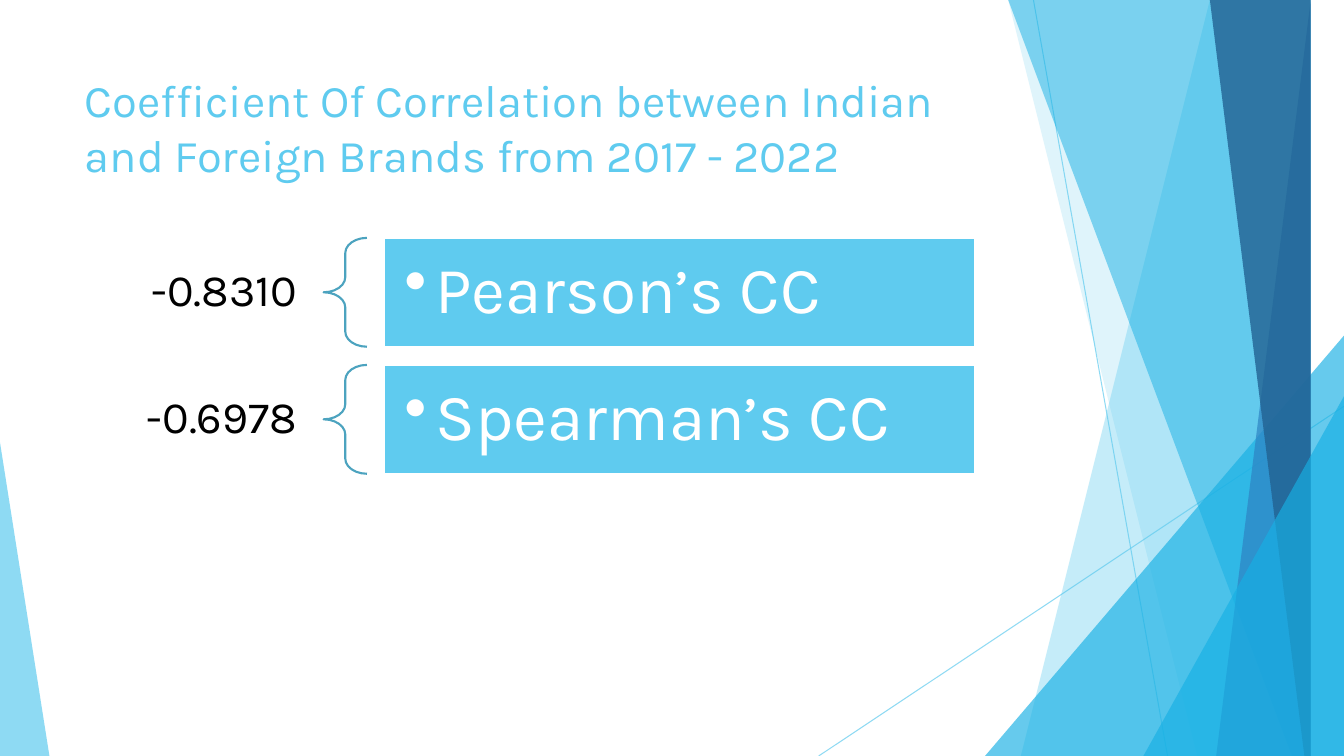
from pptx import Presentation
from pptx import util as u
from pptx.dml.color import RGBColor
from pptx.enum import shapes, text
from pptx.oxml.ns import qn
from lxml import etree

# Content
TITLE = "Coefficient Of Correlation between Indian and Foreign Brands from 2017 - 2022"
COEFFICIENTS = [("-0.8310", "Pearson’s CC"), ("-0.6978", "Spearman’s CC")]

# Style
FONT = "Karla"
SKY, BLUE, BRACE, WHITE, BLACK = "5FCBEF", "17B0E4", "4CA3BF", "FFFFFF", "000000"
WIDTH, HEIGHT = 13.33, 7.5

# Background: lines as (start, end); bands as (top x, bottom x, color, opacity),
# on the right edge; triangles as (left, top, width, apex, color, opacity), on the bottom
LINES = [((10.25, 0), (11.58, HEIGHT)), ((WIDTH, 4.03), (8.12, HEIGHT))]
FACETS = [
    ("band", 12.28, 10.04, SKY, 36),
    ("band", 10.5, 11.83, SKY, 20),
    ("triangle", 9.77, 3.33, 3.56, 1, BLUE, 66),
    ("band", 10.21, 12.91, BLUE, 50),
    ("band", 13.03, 11.92, "2E83C3", 70),
    ("band", 11.96, 13.18, "226292", 80),
    ("triangle", 11.34, 3.93, 1.99, 1, BLUE, 66),
    ("triangle", 0, 4.39, 0.49, 0, SKY, 70),
]

# Coefficient rows
ROW_TOP, ROW_STEP, ROW_HEIGHT = 2.36, 1.26, 1.08
VALUE_LEFT, VALUE_WIDTH = 1.05, 2.15
BRACE_LEFT, BRACE_WIDTH = 3.21, 0.43
BAR_LEFT, BAR_WIDTH = 3.81, 5.86


def color(hex_code):
    return RGBColor.from_string(hex_code)


def box(left, top, width, height):
    return [u.Inches(length) for length in (left, top, width, height)]


def set_opacity(fill_parent, percent):
    for color_node in fill_parent.iter(qn("a:srgbClr")):
        etree.SubElement(color_node, qn("a:alpha"), val=str(percent * 1000))


def paint(shape, hex_code, opacity):
    shape.shadow.inherit = False
    shape.fill.solid()
    shape.fill.fore_color.rgb = color(hex_code)
    shape.line.fill.background()
    set_opacity(shape._element.spPr, opacity)


def outline(shape, hex_code):
    shape.shadow.inherit = False
    shape.line.color.rgb = color(hex_code)
    shape.line.width = u.Pt(1.5)


def write(shape, words, size, hex_code, align, inset_x, inset_y,
          anchor=text.MSO_ANCHOR.MIDDLE):
    frame = shape.text_frame
    frame.word_wrap = True
    frame.auto_size = text.MSO_AUTO_SIZE.NONE
    frame.vertical_anchor = anchor
    frame.margin_left = frame.margin_right = u.Inches(inset_x)
    frame.margin_top = frame.margin_bottom = u.Inches(inset_y)
    frame.text = words
    paragraph = frame.paragraphs[0]
    paragraph.alignment = align
    paragraph.font.name = FONT
    paragraph.font.size = u.Pt(size)
    paragraph.font.color.rgb = color(hex_code)
    return paragraph


def add_bullet(paragraph, indent):
    properties = paragraph._p.get_or_add_pPr()
    properties.set("marL", str(u.Inches(indent)))
    properties.set("indent", str(u.Inches(-indent)))
    bullet = etree.Element(qn("a:buChar"), char="•")
    properties.find(qn("a:lnSpc")).addnext(bullet)


def add_line(slide, start, end):
    line = slide.shapes.add_connector(
        shapes.MSO_CONNECTOR.STRAIGHT, *box(*start, *end))
    line.line.color.rgb = color(SKY)
    line.line.width = u.Pt(0.75)
    properties = line._element.spPr
    set_opacity(properties, 70)
    etree.SubElement(properties, qn("a:effectLst"))


def add_band(slide, top_x, bottom_x, hex_code, opacity):
    builder = slide.shapes.build_freeform(top_x, 0, scale=u.Inches(1))
    builder.add_line_segments([(WIDTH, 0), (WIDTH, HEIGHT), (bottom_x, HEIGHT)])
    paint(builder.convert_to_shape(), hex_code, opacity)


def add_triangle(slide, left, top, width, apex, hex_code, opacity):
    triangle = slide.shapes.add_shape(
        shapes.MSO_SHAPE.ISOSCELES_TRIANGLE, *box(left, top, width, HEIGHT - top))
    triangle.adjustments[0] = apex
    paint(triangle, hex_code, opacity)


def add_row(slide, top, value, label):
    # Value
    value_box = slide.shapes.add_textbox(
        *box(VALUE_LEFT, top + 0.03, VALUE_WIDTH, ROW_HEIGHT - 0.06))
    paragraph = write(value_box, value, 32, BLACK, text.PP_ALIGN.RIGHT, 0.25, 0.09)
    paragraph.line_spacing = 0.9

    # Brace
    brace = slide.shapes.add_shape(
        shapes.MSO_SHAPE.LEFT_BRACE, *box(BRACE_LEFT, top, BRACE_WIDTH, ROW_HEIGHT))
    brace.adjustments[0] = 0.35
    brace.fill.background()
    outline(brace, BRACE)

    # Labelled bar
    bar = slide.shapes.add_shape(
        shapes.MSO_SHAPE.RECTANGLE, *box(BAR_LEFT, top, BAR_WIDTH, ROW_HEIGHT))
    bar.fill.solid()
    bar.fill.fore_color.rgb = color(SKY)
    outline(bar, WHITE)
    paragraph = write(bar, label, 47, WHITE, text.PP_ALIGN.LEFT, 0.2, 0.2)
    paragraph.line_spacing = 0.9
    add_bullet(paragraph, 0.31)


def main():
    presentation = Presentation()
    presentation.slide_width = u.Inches(WIDTH)
    presentation.slide_height = u.Inches(HEIGHT)
    slide = presentation.slides.add_slide(presentation.slide_layouts[5])

    # Background
    for start, end in LINES:
        add_line(slide, start, end)
    add_facet = {"band": add_band, "triangle": add_triangle}
    for kind, *details in FACETS:
        add_facet[kind](slide, *details)

    # Title
    title = slide.shapes.title
    title.left, title.top, title.width, title.height = box(0.74, 0.67, 9.4, 1.44)
    write(title, TITLE, 32.4, SKY, text.PP_ALIGN.LEFT, 0.1, 0.05, text.MSO_ANCHOR.TOP)

    # Coefficients
    for index, (value, label) in enumerate(COEFFICIENTS):
        add_row(slide, ROW_TOP + index * ROW_STEP, value, label)

    presentation.save("out.pptx")


if __name__ == "__main__":
    main()
